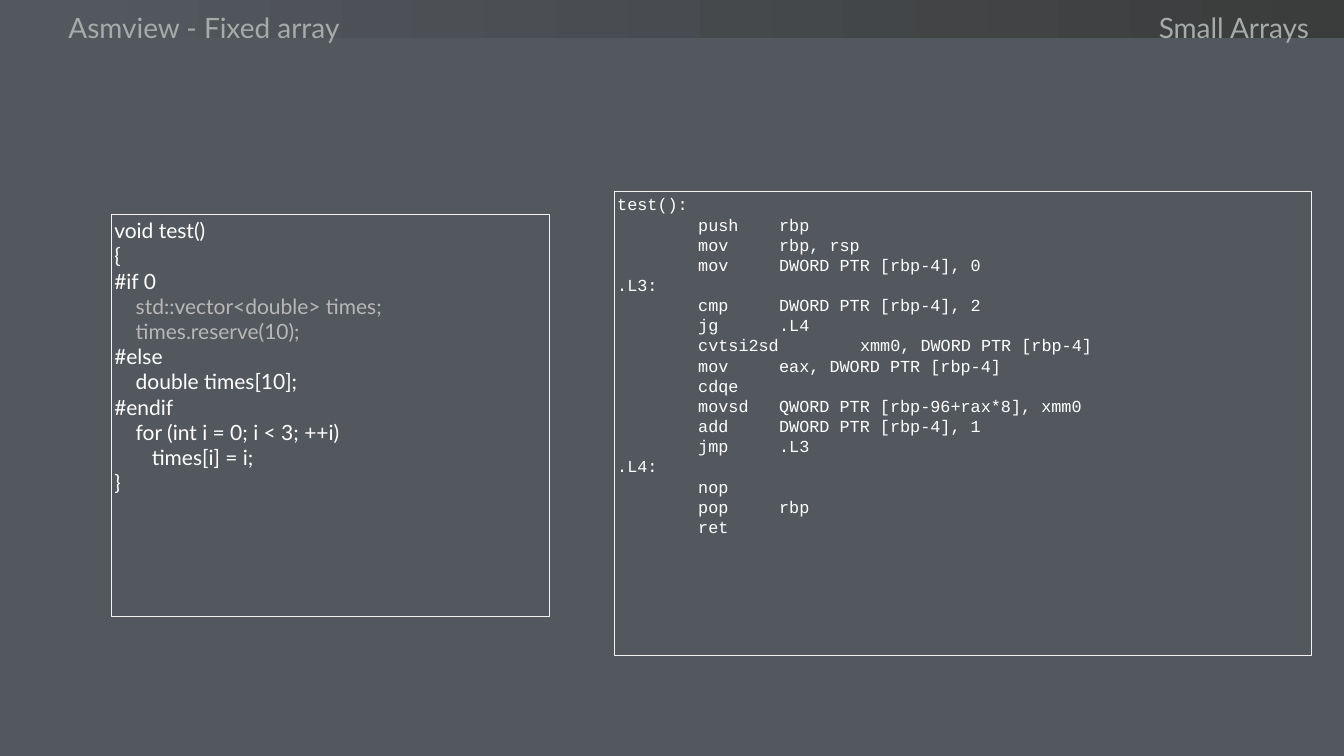
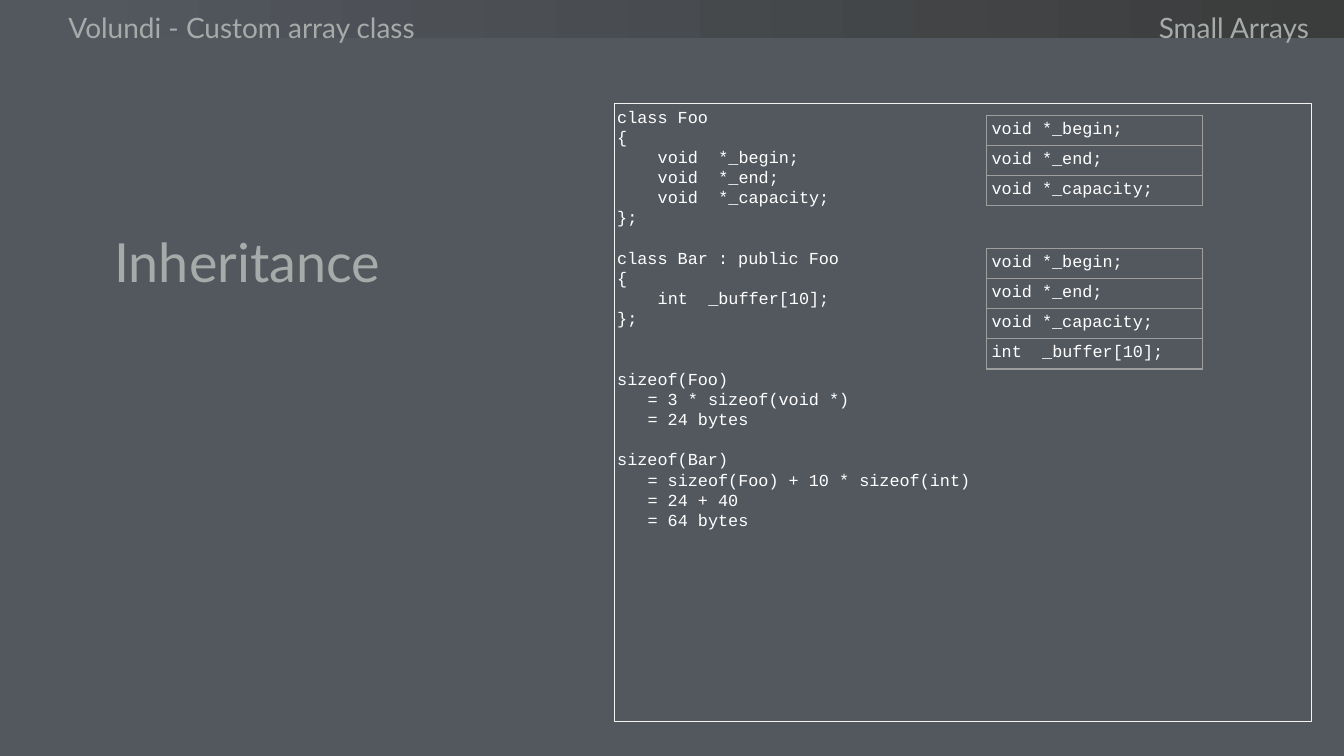
"""Build two slides on small arrays: compiler output and class inheritance."""
from dataclasses import dataclass

from lxml import etree
from pptx import Presentation
from pptx import util as u
from pptx.dml.color import RGBColor
from pptx.enum import shapes, text
from pptx.oxml import ns


@dataclass(frozen=True)
class Theme:
    background: str = "53585F"
    band_end: str = "3B3C3C"
    heading: str = "A6AAA9"
    code: str = "FFFFFF"
    dimmed: str = "B7B7B7"
    frame: str = "F3F3F3"
    grid: str = "9E9E9E"
    sans: str = "Lato"
    mono: str = "Courier New"
    header_size: int = 40
    statement_size: int = 77
    sans_code_size: int = 30
    mono_code_size: int = 24
    line_factor: float = 1.2
    sans_column: float = 0.27
    mono_column: float = 0.51
    inset: float = 0.15
    cell_inset: float = 0.25
    row_height: float = 1.47


TOPIC = "Small Arrays"

SOURCE_CODE = """\
void test()
{
#if 0
    std::vector<double> times;
    times.reserve(10);
#else
    double times[10];
#endif
    for (int i = 0; i < 3; ++i)
       times[i] = i;
}"""

ASSEMBLY = """\
test():
        push    rbp
        mov     rbp, rsp
        mov     DWORD PTR [rbp-4], 0
.L3:
        cmp     DWORD PTR [rbp-4], 2
        jg      .L4
        cvtsi2sd        xmm0, DWORD PTR [rbp-4]
        mov     eax, DWORD PTR [rbp-4]
        cdqe
        movsd   QWORD PTR [rbp-96+rax*8], xmm0
        add     DWORD PTR [rbp-4], 1
        jmp     .L3
.L4:
        nop
        pop     rbp
        ret"""

CLASSES = """\
class Foo
{
    void  *_begin;
    void  *_end;
    void  *_capacity;
};

class Bar : public Foo
{
    int  _buffer[10];
};


sizeof(Foo)
   = 3 * sizeof(void *)
   = 24 bytes

sizeof(Bar)
   = sizeof(Foo) + 10 * sizeof(int)
   = 24 + 40
   = 64 bytes"""

FOO_MEMBERS = ["void *_begin;", "void *_end;", "void *_capacity;"]
BAR_MEMBERS = FOO_MEMBERS + ["int  _buffer[10];"]


class Deck:
    def __init__(self, theme):
        self.theme = theme
        self.presentation = Presentation()
        self.presentation.slide_width = u.Cm(67.74)
        self.presentation.slide_height = u.Cm(38.1)
        fill = self.presentation.slide_master.background.fill
        fill.solid()
        fill.fore_color.rgb = RGBColor.from_string(theme.background)
        self.slide = None

    def add_slide(self, title):
        layout = self.presentation.slide_layouts[6]
        self.slide = self.presentation.slides.add_slide(layout)
        self.band()
        size = self.theme.header_size
        self.label(title, (3.3, 0, 41.5, 2.74), size)
        self.label(TOPIC, (34.95, 0, 31.17, 2.74), size, text.PP_ALIGN.RIGHT)

    def rectangle(self, box):
        shape = self.slide.shapes.add_shape(
            shapes.MSO_SHAPE.RECTANGLE, *map(u.Cm, box))
        shape.shadow.inherit = False
        return shape

    def band(self):
        shape = self.rectangle((2.79, 0, 64.95, 1.93))
        shape.line.fill.background()
        shape.fill.gradient()
        shape.fill.gradient_angle = 0
        colors = (self.theme.background, self.theme.band_end)
        for position, (stop, color) in enumerate(
                zip(shape.fill.gradient_stops, colors)):
            stop.position = position
            stop.color.rgb = RGBColor.from_string(color)

    def prepare_frame(self, shape, anchor):
        frame = shape.text_frame
        frame.word_wrap = True
        frame.vertical_anchor = anchor
        inset = u.Cm(self.theme.inset)
        frame.margin_left = frame.margin_right = inset
        frame.margin_top = frame.margin_bottom = inset
        return frame

    def style(self, paragraph, font, size, color):
        paragraph.font.name = font
        paragraph.font.size = u.Pt(size)
        paragraph.font.color.rgb = RGBColor.from_string(color)

    def label(self, words, box, size, alignment=text.PP_ALIGN.LEFT):
        shape = self.slide.shapes.add_textbox(*map(u.Cm, box))
        frame = self.prepare_frame(shape, text.MSO_ANCHOR.MIDDLE)
        paragraph = frame.paragraphs[0]
        paragraph.text = words
        paragraph.alignment = alignment
        self.style(paragraph, self.theme.sans, size, self.theme.heading)

    def set_line(self, paragraph, line, column_width):
        """Write a code line, with a tab stop for each column of its layout."""
        pieces = [piece.strip() for piece in line.split("  ") if piece.strip()]
        columns, end = [], 0
        for piece in pieces:
            columns.append(line.index(piece, end))
            end = columns[-1] + len(piece)
        paragraph.text = ("\t" if columns[0] else "") + "\t".join(pieces)
        stops = [column for column in columns if column]
        if stops:
            properties = paragraph._p.get_or_add_pPr()
            tabs = etree.SubElement(properties, ns.qn("a:tabLst"))
            for column in stops:
                etree.SubElement(tabs, ns.qn("a:tab"), algn="l",
                                 pos=str(u.Cm(column * column_width)))

    def code_panel(self, code, box, font, size, column_width, dimmed=()):
        shape = self.rectangle(box)
        shape.fill.background()
        shape.line.color.rgb = RGBColor.from_string(self.theme.frame)
        shape.line.width = u.Pt(0.75)
        frame = self.prepare_frame(shape, text.MSO_ANCHOR.TOP)
        pitch = size * self.theme.line_factor
        paragraph, blanks = frame.paragraphs[0], 0
        for index, line in enumerate(code.splitlines()):
            if not line:
                blanks += 1
                continue
            if index:
                paragraph = frame.add_paragraph()
            paragraph.alignment = text.PP_ALIGN.LEFT
            paragraph.line_spacing = u.Pt(pitch)
            paragraph.space_before = u.Pt(pitch * blanks)
            self.set_line(paragraph, line, column_width)
            color = self.theme.dimmed if index in dimmed else self.theme.code
            self.style(paragraph, font, size, color)
            blanks = 0

    def mono_panel(self, code, top, height):
        theme = self.theme
        self.code_panel(code, (30.96, top, 35.15, height), theme.mono,
                        theme.mono_code_size, theme.mono_column)

    def member_table(self, members, top):
        theme = self.theme
        height = theme.row_height * len(members)
        table = self.slide.shapes.add_table(
            len(members), 1, *map(u.Cm, (49.73, top, 10.87, height))).table
        table.first_row = table.horz_banding = False
        for row, member in zip(table.rows, members):
            row.height = u.Cm(theme.row_height)
            cell = row.cells[0]
            inset = u.Cm(theme.cell_inset)
            cell.margin_left = cell.margin_right = inset
            cell.margin_top = cell.margin_bottom = inset
            self.cell_borders(cell)
            cell.fill.background()
            paragraph = cell.text_frame.paragraphs[0]
            self.set_line(paragraph, member, theme.mono_column)
            self.style(paragraph, theme.mono, theme.mono_code_size, theme.code)

    def cell_borders(self, cell):
        properties = cell._tc.get_or_add_tcPr()
        for side in ("lnL", "lnR", "lnT", "lnB"):
            border = etree.SubElement(properties, ns.qn(f"a:{side}"),
                                      w=str(u.Pt(2.25)))
            fill = etree.SubElement(border, ns.qn("a:solidFill"))
            etree.SubElement(fill, ns.qn("a:srgbClr"), val=self.theme.grid)


def main():
    theme = Theme()
    deck = Deck(theme)

    deck.add_slide("Asmview - Fixed array")
    deck.mono_panel(ASSEMBLY, 9.63, 23.42)
    deck.code_panel(SOURCE_CODE, (5.61, 10.82, 22.07, 20.24), theme.sans,
                    theme.sans_code_size, theme.sans_column, dimmed=(3, 4))

    deck.add_slide("Volundi - Custom array class")
    deck.label("Inheritance", (5.61, 10.82, 24.33, 4.67), theme.statement_size)
    deck.mono_panel(CLASSES, 5.21, 31.12)
    deck.member_table(FOO_MEMBERS, 5.82)
    deck.member_table(BAR_MEMBERS, 12.52)

    deck.presentation.save("out.pptx")


if __name__ == "__main__":
    main()
